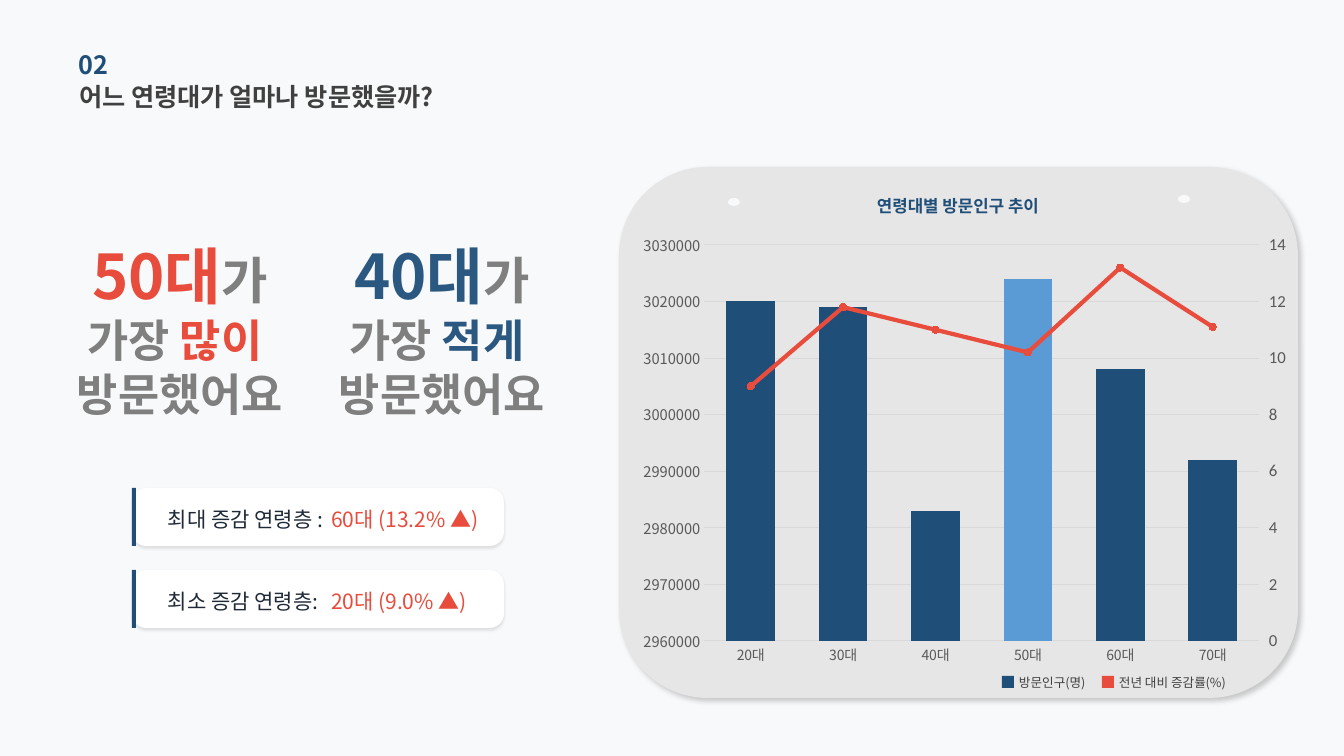
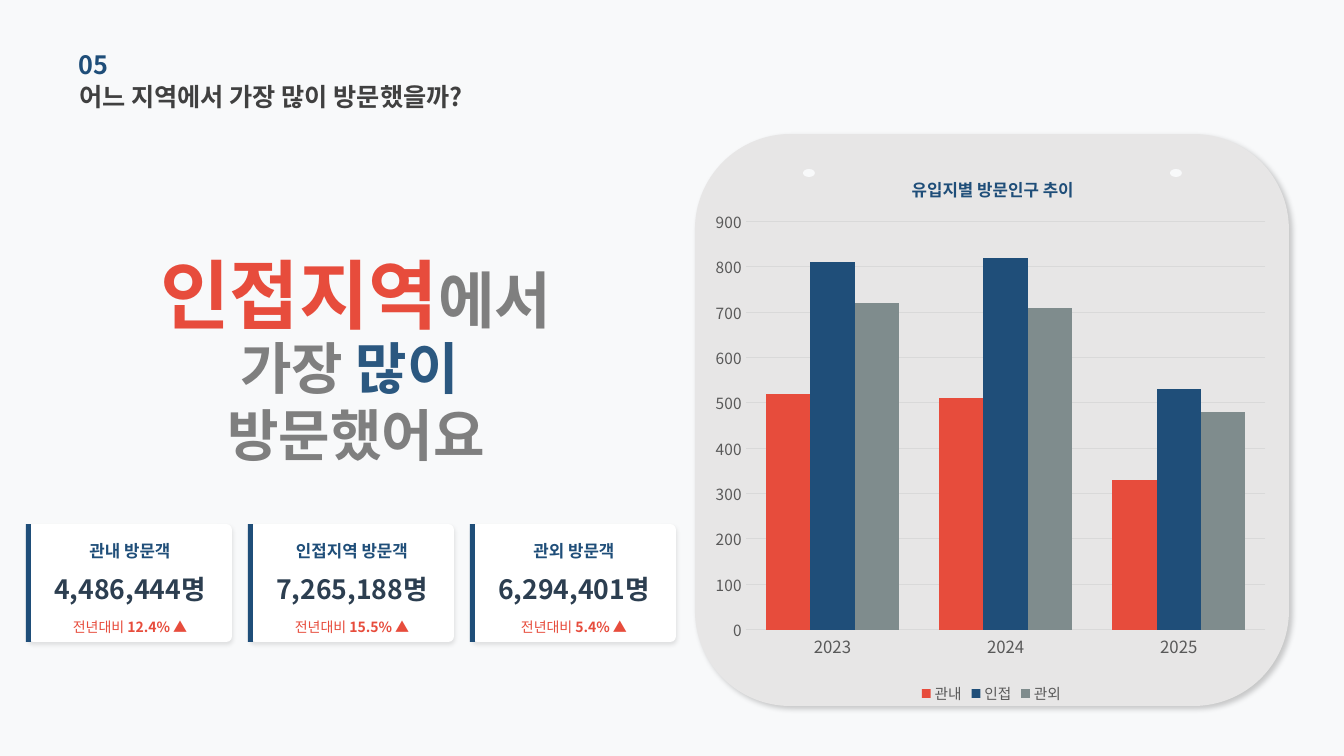
from pptx import Presentation
from pptx import util as u
from pptx.chart import data as chart_data
from pptx.dml.color import RGBColor
from pptx.enum import chart as ch
from pptx.enum import shapes, text
from pptx.oxml import parse_xml
from pptx.oxml.ns import nsdecls, qn

FONT = "Noto Sans CJK KR"
PAPER = RGBColor(0xF8, 0xF9, 0xFA)
WHITE = RGBColor(0xFF, 0xFF, 0xFF)
PANEL = RGBColor(0xE7, 0xE6, 0xE6)
NAVY = RGBColor(0x1F, 0x4E, 0x79)
BLUE = RGBColor(0x2B, 0x58, 0x80)
SKY = RGBColor(0x5B, 0x9B, 0xD5)
RED = RGBColor(0xE7, 0x4C, 0x3C)
SLATE = RGBColor(0x7F, 0x8C, 0x8D)
GRAY = RGBColor(0x7F, 0x7F, 0x7F)
CHARCOAL = RGBColor(0x40, 0x40, 0x40)
AXIS_GRAY = RGBColor(0x59, 0x59, 0x59)
GRID = RGBColor(0xD9, 0xD9, 0xD9)
INK = RGBColor(0x1F, 0x29, 0x37)
FIGURE = RGBColor(0x2C, 0x3E, 0x50)
LEFT, CENTER = text.PP_ALIGN.LEFT, text.PP_ALIGN.CENTER
RECT = shapes.MSO_SHAPE.RECTANGLE
ROUNDED = shapes.MSO_SHAPE.ROUNDED_RECTANGLE
OVAL = shapes.MSO_SHAPE.OVAL


def px(*lengths):
    return [u.Emu(round(length * 914400 / 100.8)) for length in lengths]


def style_font(font, size, color, bold=False, name=FONT):
    font.name, font.size, font.bold = name, u.Pt(size), bold
    font.color.rgb = color


def add_east_asian(element):
    for latin in list(element.iter(qn("a:latin"))):
        face = latin.get("typeface")
        latin.addnext(parse_xml(f'<a:ea {nsdecls("a")} typeface="{face}"/>'))


def fill_frame(frame, lines, align=LEFT):
    frame.word_wrap = True
    frame.auto_size = text.MSO_AUTO_SIZE.NONE
    frame.vertical_anchor = text.MSO_ANCHOR.MIDDLE
    frame.margin_left = frame.margin_right = 0
    frame.margin_top = frame.margin_bottom = 0
    for index, line in enumerate(lines):
        paragraph = frame.add_paragraph() if index else frame.paragraphs[0]
        paragraph.alignment = align
        for wording, *style in line:
            run = paragraph.add_run()
            run.text = wording
            style_font(run.font, *style)


def add_label(slide, box, lines, align=LEFT):
    fill_frame(slide.shapes.add_textbox(*px(*box)).text_frame, lines, align)


def add_block(slide, kind, box, color, corner=None, shadow=None):
    block = slide.shapes.add_shape(kind, *px(*box))
    block.fill.solid()
    block.fill.fore_color.rgb = color
    block.line.fill.background()
    block.shadow.inherit = False
    if corner is not None:
        block.adjustments[0] = corner
    if shadow:
        alpha, blur, distance, angle = shadow
        effects = block.element.spPr.find(qn("a:effectLst"))
        effects.append(parse_xml(
            f'<a:outerShdw {nsdecls("a")} blurRad="{blur * 12700}" dist="{distance * 12700}" '
            f'dir="{angle * 60000}" algn="ctr" rotWithShape="0"><a:srgbClr val="000000">'
            f'<a:alpha val="{alpha * 1000}"/></a:srgbClr></a:outerShdw>'))


def start_slide(prs, number, question):
    slide = prs.slides.add_slide(prs.slide_layouts[5])
    title = slide.shapes.title
    title.left, title.top, title.width, title.height = px(79, 76, 532, 41)
    fill_frame(title.text_frame, [[(question, 18, CHARCOAL, True)]])
    add_label(slide, (79, 44, 456, 41), [[(number, 18, NAVY, True)]])
    return slide


def add_panel(slide, box, holes):
    add_block(slide, ROUNDED, box, PANEL, shadow=(20, 4, 3, 45))
    for left, top in holes:
        add_block(slide, OVAL, (left, top, 12, 8), PAPER)


def add_headline(slide, center, width, lead_top, sub_top, lead, sub):
    left = center - width // 2
    add_label(slide, (left, lead_top, width, 48), [lead], CENTER)
    add_label(slide, (left, sub_top, width, 85), sub, CENTER)


def add_extreme(slide, top, caption, change):
    add_block(slide, ROUNDED, (132, top, 372, 58), WHITE, 0.245, (10, 2, 1, 90))
    add_block(slide, RECT, (132, top, 4, 58), NAVY)
    add_label(slide, (168, top + 19, 195, 24), [[(caption, 15, INK)]])
    add_label(slide, (331, top + 19, 173, 24), [[(change, 15, RED)]])


def add_visitor_card(slide, left, origin, count, change):
    top, width = 524, 204
    add_block(slide, ROUNDED, (left, top, width, 118), WHITE, 0.048, (10, 3, 2, 90))
    add_block(slide, RECT, (left - 2, top, 5, 118), NAVY)
    rows = [
        (16, 22, [(origin, 12, NAVY, True)]),
        (48, 34, [(count, 19, FIGURE, True)]),
        (93, 20, [("전년대비 ", 10, RED), (change, 10, RED, True)]),
    ]
    for offset, height, line in rows:
        add_label(slide, (left, top + offset, width, height), [line], CENTER)


def place(element, index, x, y, size=None):
    for old in element.findall(qn("c:layout")):
        element.remove(old)
    target = '<c:layoutTarget val="inner"/>' if size else ""
    extent = f'<c:w val="{size[0]}"/><c:h val="{size[1]}"/>' if size else ""
    element.insert(index, parse_xml(
        f'<c:layout {nsdecls("c")}><c:manualLayout>{target}<c:xMode val="edge"/>'
        f'<c:yMode val="edge"/><c:x val="{x}"/><c:y val="{y}"/>{extent}'
        f'</c:manualLayout></c:layout>'))


def style_axis(axis, size):
    axis.major_tick_mark = axis.minor_tick_mark = ch.XL_TICK_MARK.NONE
    style_font(axis.tick_labels.font, size, AXIS_GRAY)


def add_column_chart(slide, box, categories, series, colors, scale, sizes):
    data = chart_data.CategoryChartData()
    data.categories = categories
    for name, values in series:
        data.add_series(name, values)
    chart = slide.shapes.add_chart(
        ch.XL_CHART_TYPE.COLUMN_CLUSTERED, *px(*box), data).chart
    style_font(chart.font, 10, AXIS_GRAY)
    chart.has_title = chart.has_legend = False
    plot = chart.plots[0]
    plot.gap_width, plot.overlap, plot.vary_by_categories = 90, 0, False
    for bars, color in zip(plot.series, colors):
        bars.format.fill.solid()
        bars.format.fill.fore_color.rgb = color
    style_axis(chart.category_axis, sizes[0])
    style_axis(chart.value_axis, sizes[1])
    axis = chart.value_axis
    axis.minimum_scale, axis.maximum_scale, axis.major_unit = scale
    axis.format.line.fill.background()
    for line in (chart.category_axis.format.line, axis.major_gridlines.format.line):
        line.color.rgb, line.width = GRID, u.Pt(0.75)
    return chart


def move_growth_to_right_axis(chart):
    area = chart.element.find(".//" + qn("c:plotArea"))
    columns = area.find(qn("c:barChart"))
    growth = columns.findall(qn("c:ser"))[1]
    for bar_only in growth.findall(qn("c:invertIfNegative")):
        growth.remove(bar_only)
    lines = parse_xml(
        f'<c:lineChart {nsdecls("c")}><c:grouping val="standard"/><c:varyColors val="0"/>'
        '<c:marker val="1"/><c:axId val="5001"/><c:axId val="5002"/></c:lineChart>')
    lines.insert(2, growth)
    columns.addnext(lines)
    hidden = parse_xml(
        f'<c:catAx {nsdecls("c")}><c:axId val="5001"/><c:scaling><c:orientation val="minMax"/>'
        '</c:scaling><c:delete val="1"/><c:axPos val="b"/><c:crossAx val="5002"/></c:catAx>')
    right = parse_xml(
        f'<c:valAx {nsdecls("c", "a")}><c:axId val="5002"/><c:scaling>'
        '<c:orientation val="minMax"/><c:max val="14"/><c:min val="0"/></c:scaling>'
        '<c:delete val="0"/><c:axPos val="r"/><c:numFmt formatCode="General" sourceLinked="0"/>'
        '<c:majorTickMark val="out"/><c:minorTickMark val="none"/><c:tickLblPos val="nextTo"/>'
        '<c:spPr><a:ln><a:noFill/></a:ln></c:spPr><c:txPr><a:bodyPr/><a:p><a:pPr>'
        f'<a:defRPr sz="1200"><a:solidFill><a:srgbClr val="{AXIS_GRAY}"/></a:solidFill>'
        '<a:latin typeface="Calibri"/></a:defRPr></a:pPr><a:endParaRPr lang="ko-KR"/></a:p>'
        '</c:txPr><c:crossAx val="5001"/><c:crosses val="max"/><c:majorUnit val="2"/></c:valAx>')
    area.find(qn("c:valAx")).addnext(hidden)
    hidden.addnext(right)
    trend = chart.plots[1].series[0]
    trend.smooth = False
    trend.format.line.color.rgb, trend.format.line.width = RED, u.Pt(3)
    marker = trend.marker
    marker.style, marker.size = ch.XL_MARKER_STYLE.CIRCLE, 5
    marker.format.fill.solid()
    marker.format.fill.fore_color.rgb = RED
    marker.format.line.color.rgb = RED


def build_age_slide(prs):
    slide = start_slide(prs, "02", "어느 연령대가 얼마나 방문했을까?")
    add_panel(slide, (619, 167, 679, 531), [(728, 198), (1178, 195)])
    visitors, growth = "방문인구(명)", "전년 대비 증감률(%)"
    for left, width, name, color in [(1002, 80, visitors, NAVY), (1102, 125, growth, RED)]:
        add_block(slide, RECT, (left, 676, 12, 12), color)
        add_label(slide, (left + 17, 673, width, 18), [[(name, 9, CHARCOAL)]])
    add_extreme(slide, 488, "최대 증감 연령층 :", "60대 (13.2% ▲)")
    add_extreme(slide, 570, "최소 증감 연령층:", "20대 (9.0% ▲)")
    for center, age, amount, color in [(180, "50대", "많이", RED), (442, "40대", "적게", BLUE)]:
        add_headline(slide, center, 340, 251, 324,
                     [(age, 44, color, True), ("가", 36, GRAY, True)],
                     [[("가장", 32, GRAY, True), (f" {amount} ", 32, color, True)],
                      [("방문했어요", 32, GRAY, True)]])
    chart = add_column_chart(
        slide, (631, 227, 668, 450), ["20대", "30대", "40대", "50대", "60대", "70대"],
        [(visitors, (3020000, 3019000, 2983000, 3024000, 3008000, 2992000)),
         (growth, (9, 11.8, 11, 10.2, 13.2, 11.1))],
        [NAVY], (2960000, 3030000, 10000), (10, 10.5))
    chart.plots[0].overlap = -27
    busiest = chart.plots[0].series[0].points[3].format.fill
    busiest.solid()
    busiest.fore_color.rgb = SKY
    move_growth_to_right_axis(chart)
    place(chart.element.find(".//" + qn("c:plotArea")), 0, 0.11, 0.04, (0.83, 0.88))
    add_east_asian(chart.element)
    add_label(slide, (809, 191, 298, 30), [[("연령대별 방문인구 추이", 12, NAVY, True)]], CENTER)
    add_east_asian(slide.element)


def build_region_slide(prs):
    slide = start_slide(prs, "05", "어느 지역에서 가장 많이 방문했을까?")
    add_panel(slide, (695, 134, 594, 572), [(803, 169), (1170, 169)])
    cards = [("관내 방문객", "4,486,444명", "12.4% ▲"),
             ("인접지역 방문객", "7,265,188명", "15.5% ▲"),
             ("관외 방문객", "6,294,401명", "5.4% ▲")]
    for index, card in enumerate(cards):
        add_visitor_card(slide, 28 + 222 * index, *card)
    add_headline(slide, 356, 556, 269, 358,
                 [("인접지역", 54, RED, True), ("에서", 44, GRAY, True)],
                 [[("가장", 40, GRAY, True), (" 많이 ", 40, BLUE, True)],
                  [("방문했어요", 40, GRAY, True)]])
    chart = add_column_chart(
        slide, (706, 149, 571, 559), ["2023", "2024", "2025"],
        [("관내", (520, 510, 330)), ("인접", (810, 820, 530)), ("관외", (720, 710, 480))],
        [RED, NAVY, SLATE], (0, 900, 100), (12, 11))
    chart.has_title = True
    heading = chart.chart_title.text_frame
    heading.text = "유입지별 방문인구 추이"
    style_font(heading.paragraphs[0].runs[0].font, 12, NAVY, True)
    place(chart.element.find(".//" + qn("c:title")), 1, 0.355, 0.04)
    chart.has_legend = True
    chart.legend.position = ch.XL_LEGEND_POSITION.BOTTOM
    chart.legend.include_in_layout = False
    style_font(chart.legend.font, 10.5, AXIS_GRAY)
    place(chart.element.find(".//" + qn("c:plotArea")), 0, 0.07, 0.13, (0.91, 0.73))
    add_east_asian(chart.element)
    add_east_asian(slide.element)


def main():
    prs = Presentation()
    prs.slide_width, prs.slide_height = px(1344, 756)
    backdrop = prs.slide_master.background.fill
    backdrop.solid()
    backdrop.fore_color.rgb = PAPER
    build_age_slide(prs)
    build_region_slide(prs)
    prs.save("out.pptx")


if __name__ == "__main__":
    main()
